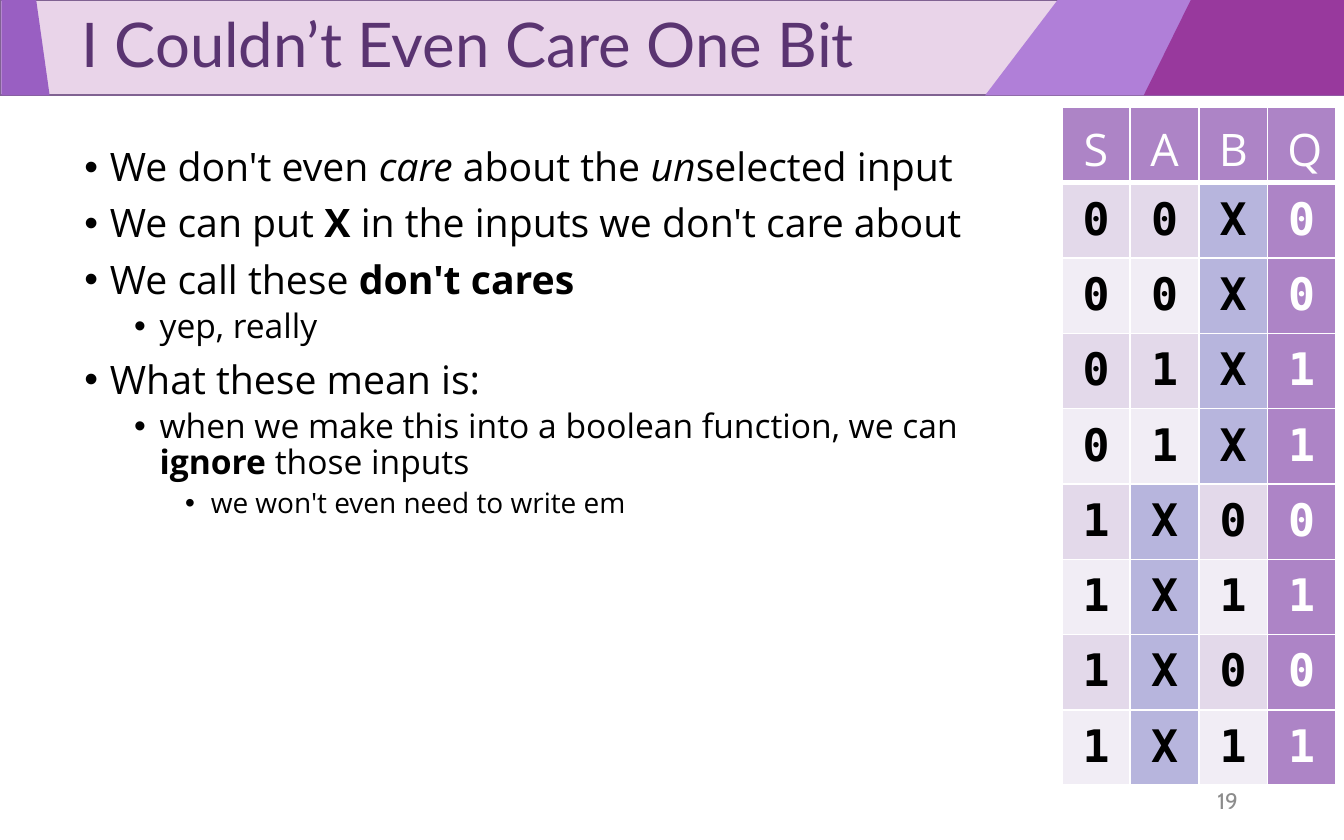
"""Build the slide about don't-care inputs in a truth table."""
from lxml.etree import SubElement
from pptx import Presentation
from pptx.dml.color import RGBColor
from pptx.enum.shapes import MSO_SHAPE
from pptx.enum.text import MSO_ANCHOR, PP_ALIGN
from pptx.oxml import parse_xml
from pptx.oxml.ns import nsdecls, qn
from pptx.util import Inches, Pt

WHITE = RGBColor(0xFF, 0xFF, 0xFF)
BLACK = RGBColor(0, 0, 0)
GRAY = RGBColor(0x8C, 0x8C, 0x8C)
TITLE_PURPLE = RGBColor(0x5A, 0x34, 0x71)
BANNER_FILL = RGBColor(0xE9, 0xD4, 0xE9)
BANNER_LINE = RGBColor(0x80, 0x62, 0x92)
HEADER_FILL = RGBColor(0xAD, 0x84, 0xC6)
DONT_CARE_FILL = RGBColor(0xB7, 0xB5, 0xDD)
BAND_FILLS = (RGBColor(0xF1, 0xED, 0xF5), RGBColor(0xE3, 0xD9, 0xEA))

BANNER_HEIGHT = 0.71
BANNER_PIECES = [
    (RGBColor(0xB0, 0x7F, 0xD8), [(7.87, 0), (10, 0), (10, BANNER_HEIGHT), (7.33, BANNER_HEIGHT)]),
    (RGBColor(0x99, 0x5F, 0xC2), [(0.01, 0), (0.27, 0), (0.37, BANNER_HEIGHT), (0.01, BANNER_HEIGHT)]),
    (RGBColor(0x98, 0x39, 0x9D), [(8.86, 0), (10, 0), (10, BANNER_HEIGHT), (8.51, BANNER_HEIGHT)]),
]

TITLE = "I Couldn’t Even Care One Bit"
PAGE_NUMBER = "19"
BULLETS = [
    (0, [("We don't even ", ""), ("care", "italic"), (" about the ", ""),
         ("un", "italic"), ("selected input", "")]),
    (0, [("We can put ", ""), ("X", "bold"), (" in the inputs we don't care about", "")]),
    (0, [("We call these ", ""), ("don't cares", "bold")]),
    (1, [("yep, really", "")]),
    (0, [("What these mean is:", "")]),
    (1, [("when we make this into a boolean function, we can ", ""),
         ("ignore", "bold"), (" those inputs", "")]),
    (2, [("we won't even need to write em", "")]),
]
LEVELS = [(21, 0.19, 7.5), (18, 0.56, 3.8), (15, 0.94, 3.8)]
HANGING = 0.19

TRUTH_TABLE = ["SABQ", "00X0", "00X0", "01X1", "01X1", "1X00", "1X11", "1X00", "1X11"]
COLUMN_WIDTH = 0.51
ROW_HEIGHT = 0.52


def format_run(run, font_name, size, color, style=""):
    font = run.font
    font.name = font_name
    font.size = Pt(size)
    font.color.rgb = color
    font.bold = style == "bold"
    font.italic = style == "italic"


def add_text_box(slide, left, top, width, height, anchor):
    box = slide.shapes.add_textbox(Inches(left), Inches(top), Inches(width), Inches(height))
    box.text_frame.word_wrap = True
    box.text_frame.vertical_anchor = anchor
    return box.text_frame


def add_banner(slide):
    banner = slide.shapes.add_shape(MSO_SHAPE.RECTANGLE, 0, 0, Inches(10), Inches(BANNER_HEIGHT))
    banner.shadow.inherit = False
    banner.fill.solid()
    banner.fill.fore_color.rgb = BANNER_FILL
    banner.line.color.rgb = BANNER_LINE
    banner.line.width = Pt(1)
    for color, corners in BANNER_PIECES:
        points = [(Inches(x), Inches(y)) for x, y in corners]
        builder = slide.shapes.build_freeform(*points[0])
        builder.add_line_segments(points[1:], close=True)
        piece = builder.convert_to_shape()
        piece.shadow.inherit = False
        piece.fill.solid()
        piece.fill.fore_color.rgb = color
        piece.line.fill.background()


def add_title(slide):
    text_frame = add_text_box(slide, 0.01, 0, 9.99, BANNER_HEIGHT, MSO_ANCHOR.MIDDLE)
    text_frame.text = TITLE
    paragraph = text_frame.paragraphs[0]
    paragraph.line_spacing = 0.9
    paragraph._p.get_or_add_pPr().set("marL", str(Inches(0.5)))
    format_run(paragraph.runs[0], "Lato", 33, TITLE_PURPLE)


def add_bullets(slide):
    text_frame = add_text_box(slide, 0.53, 1.05, 6.84, 4.65, MSO_ANCHOR.TOP)
    for index, (level, pieces) in enumerate(BULLETS):
        size, indent, space_before = LEVELS[level]
        paragraph = text_frame.add_paragraph() if index else text_frame.paragraphs[0]
        paragraph.level = level
        paragraph.line_spacing = 0.9
        paragraph.space_before = Pt(space_before)
        properties = paragraph._p.get_or_add_pPr()
        properties.set("marL", str(Inches(indent)))
        properties.set("indent", str(-Inches(HANGING)))
        SubElement(properties, qn("a:buFont")).set("typeface", "Arial")
        SubElement(properties, qn("a:buChar")).set("char", "•")
        for text, style in pieces:
            run = paragraph.add_run()
            run.text = text
            format_run(run, "Open Sans", size, BLACK, style)


def add_page_number(slide):
    text_frame = add_text_box(slide, 7.06, 5.79, 2.25, 0.33, MSO_ANCHOR.MIDDLE)
    text_frame.text = PAGE_NUMBER
    paragraph = text_frame.paragraphs[0]
    paragraph.alignment = PP_ALIGN.RIGHT
    format_run(paragraph.runs[0], "Cabin", 12, GRAY)


def set_borders(cell, bottom_width):
    widths = {"lnL": 1, "lnR": 1, "lnT": 1, "lnB": bottom_width}
    for position, (tag, width) in enumerate(widths.items()):
        border = parse_xml(
            f'<a:{tag} {nsdecls("a")} w="{Pt(width)}"><a:solidFill>'
            f'<a:srgbClr val="{WHITE}"/></a:solidFill></a:{tag}>')
        cell._tc.get_or_add_tcPr().insert(position, border)


def cell_fill(row, column, value):
    if row == 0 or column == 3:
        return HEADER_FILL
    return DONT_CARE_FILL if value == "X" else BAND_FILLS[row % 2]


def add_truth_table(slide):
    row_count, column_count = len(TRUTH_TABLE), len(TRUTH_TABLE[0])
    table = slide.shapes.add_table(
        row_count, column_count, Inches(7.9), Inches(0.8),
        Inches(COLUMN_WIDTH * column_count), Inches(ROW_HEIGHT * row_count)).table
    for column in table.columns:
        column.width = Inches(COLUMN_WIDTH)
    for row_index, values in enumerate(TRUTH_TABLE):
        table.rows[row_index].height = Inches(ROW_HEIGHT)
        is_header = row_index == 0
        for column_index, value in enumerate(values):
            cell = table.cell(row_index, column_index)
            cell.margin_left = cell.margin_right = Inches(0.15)
            cell.margin_top = cell.margin_bottom = Inches(0.08)
            cell.fill.solid()
            fill = cell_fill(row_index, column_index, value)
            cell.fill.fore_color.rgb = fill
            set_borders(cell, 3 if is_header else 1)
            cell.text_frame.text = value
            paragraph = cell.text_frame.paragraphs[0]
            paragraph.alignment = PP_ALIGN.CENTER
            format_run(paragraph.runs[0],
                       "Open Sans" if is_header else "DejaVu Sans Mono", 24,
                       WHITE if fill == HEADER_FILL else BLACK,
                       "" if is_header else "bold")


def main():
    presentation = Presentation()
    presentation.slide_width = Inches(10)
    presentation.slide_height = Inches(6.25)
    slide = presentation.slides.add_slide(presentation.slide_layouts[6])
    add_banner(slide)
    add_title(slide)
    add_bullets(slide)
    add_page_number(slide)
    add_truth_table(slide)
    presentation.save("out.pptx")


if __name__ == "__main__":
    main()
